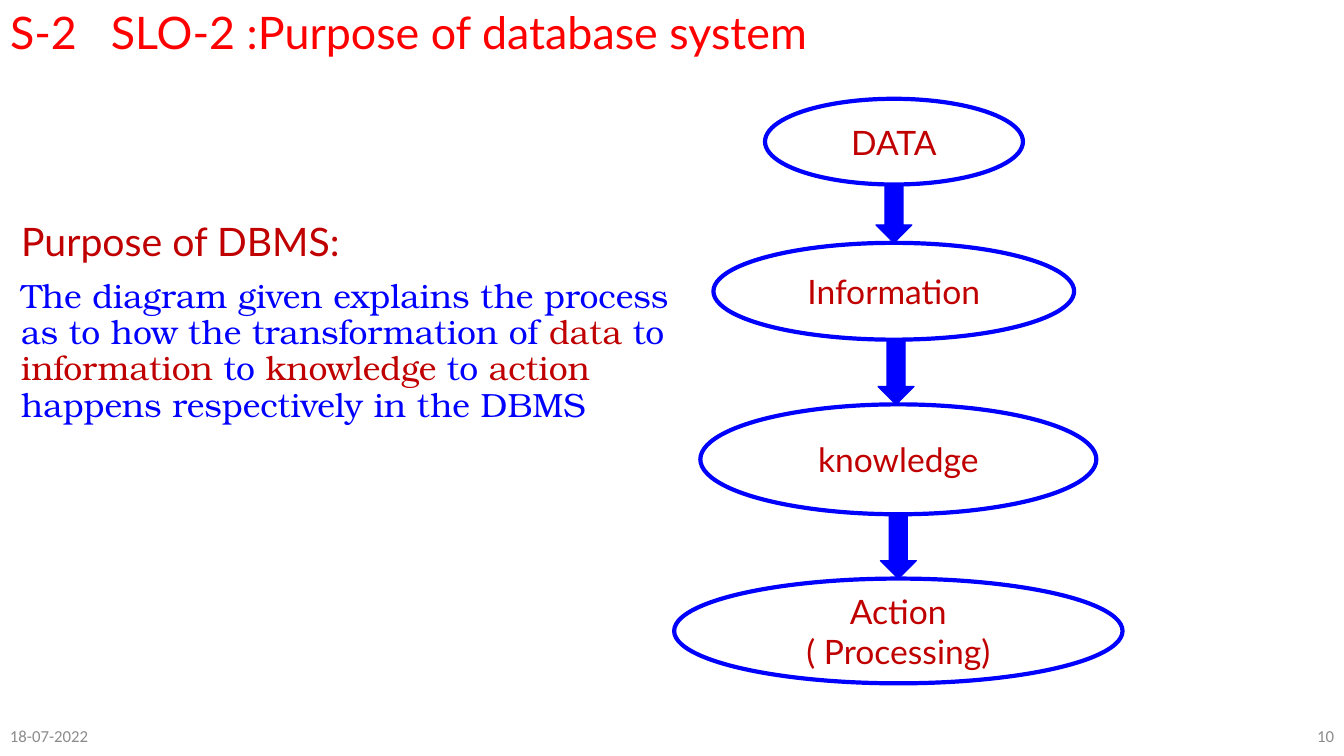
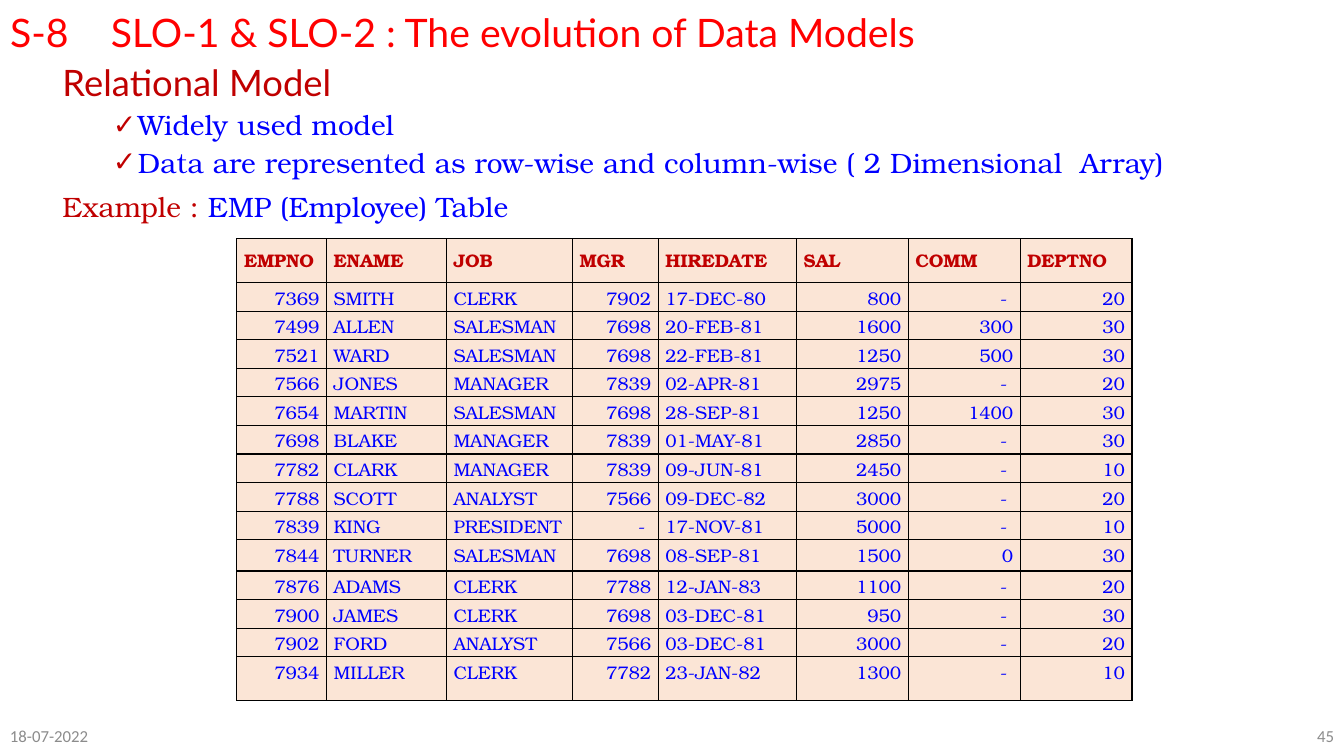
from dataclasses import dataclass

from lxml.etree import SubElement
from pptx import Presentation
from pptx.dml.color import RGBColor
from pptx.enum.shapes import MSO_SHAPE
from pptx.enum.text import MSO_ANCHOR, MSO_AUTO_SIZE, PP_ALIGN
from pptx.oxml.ns import qn
from pptx.util import Cm, Pt


@dataclass(frozen=True)
class Theme:
    red: str = "FF0000"
    maroon: str = "C00000"
    blue: str = "0000FF"
    grey: str = "8C8C8C"
    peach: str = "FBE5D6"
    black: str = "000000"
    heading_face: str = "Lato"
    text_face: str = "TeX Gyre Bonum"
    footer_face: str = "Calibri"
    stage_size: int = 24
    footer_size: int = 12
    table_size: int = 13


THEME = Theme()
SLIDE_WIDTH, SLIDE_HEIGHT = 33.87, 19.05
DATE = "18-07-2022"

# label, left, top, width, height in cm
STAGES = [
    ("DATA", 19.28, 2.49, 6.5, 2.16),
    ("Information", 17.98, 6.12, 9.09, 2.44),
    ("knowledge", 17.65, 10.19, 9.98, 2.77),
    ("Action\n( Processing)", 16.99, 14.58, 11.3, 2.64),
]
ARROW_WIDTH = 0.9

EMPLOYEES = """
EMPNO ENAME JOB MGR HIREDATE SAL COMM DEPTNO
7369 SMITH CLERK 7902 17-DEC-80 800 - 20
7499 ALLEN SALESMAN 7698 20-FEB-81 1600 300 30
7521 WARD SALESMAN 7698 22-FEB-81 1250 500 30
7566 JONES MANAGER 7839 02-APR-81 2975 - 20
7654 MARTIN SALESMAN 7698 28-SEP-81 1250 1400 30
7698 BLAKE MANAGER 7839 01-MAY-81 2850 - 30
7782 CLARK MANAGER 7839 09-JUN-81 2450 - 10
7788 SCOTT ANALYST 7566 09-DEC-82 3000 - 20
7839 KING PRESIDENT - 17-NOV-81 5000 - 10
7844 TURNER SALESMAN 7698 08-SEP-81 1500 0 30
7876 ADAMS CLERK 7788 12-JAN-83 1100 - 20
7900 JAMES CLERK 7698 03-DEC-81 950 - 30
7902 FORD ANALYST 7566 03-DEC-81 3000 - 20
7934 MILLER CLERK 7782 23-JAN-82 1300 - 10
"""
COLUMN_WIDTHS = [2.26, 3.02, 3.18, 2.16, 3.48, 2.82, 2.82, 2.82]
ROW_HEIGHTS = [1.1] + [0.72] * 9 + [0.79] + [0.72] * 3 + [1.1]
LEFT_ALIGNED = {"ENAME", "JOB", "HIREDATE"}


def rgb(colour):
    return RGBColor.from_string(colour)


def set_font(font, face, size, colour=None, bold=False):
    font.name, font.size, font.bold = face, Pt(size), bold
    if colour:
        font.color.rgb = rgb(colour)


def place(shape, left, top, width, height):
    shape.left, shape.top = Cm(left), Cm(top)
    shape.width, shape.height = Cm(width), Cm(height)


def set_title(slide, text, size, top, height):
    title = slide.shapes.title
    place(title, 0, top, 30.48, height)
    frame = title.text_frame
    frame.auto_size = MSO_AUTO_SIZE.NONE
    frame.vertical_anchor = MSO_ANCHOR.TOP
    frame.text = text
    paragraph = frame.paragraphs[0]
    paragraph.alignment = PP_ALIGN.LEFT
    tabs = SubElement(paragraph._p.get_or_add_pPr(), qn("a:tabLst"))
    SubElement(tabs, qn("a:tab"), pos=str(Cm(2.54)), algn="l")
    set_font(paragraph.font, THEME.heading_face, size, THEME.red)


def add_footer(slide, text, left, alignment):
    box = slide.shapes.add_textbox(Cm(left), Cm(18.02), Cm(11.23), Cm(1.02))
    frame = box.text_frame
    frame.word_wrap = True
    frame.vertical_anchor = MSO_ANCHOR.MIDDLE
    frame.text = text
    paragraph = frame.paragraphs[0]
    paragraph.alignment = alignment
    set_font(paragraph.font, THEME.footer_face, THEME.footer_size, THEME.grey)


def add_slide(deck, title, number, title_size, title_top, title_height):
    slide = deck.slides.add_slide(deck.slide_layouts[1])
    set_title(slide, title, title_size, title_top, title_height)
    add_footer(slide, DATE, 0, PP_ALIGN.LEFT)
    add_footer(slide, number, SLIDE_WIDTH - 11.23, PP_ALIGN.RIGHT)
    return slide


def set_bullet(paragraph, checked):
    """Give the paragraph a check mark, or take its bullet away."""
    properties = paragraph._p.get_or_add_pPr()
    properties.set("marL", str(Cm(1.9) if checked else 0))
    properties.set("indent", str(Cm(-0.63) if checked else 0))
    if checked:
        paragraph.level = 1
        colour = SubElement(properties, qn("a:buClr"))
        SubElement(colour, qn("a:srgbClr"), val=THEME.maroon)
        SubElement(properties, qn("a:buChar"), char="✓")
    else:
        SubElement(properties, qn("a:buNone"))


def fill_body(slide, bounds, paragraphs):
    """Each paragraph is (runs, face, size, checked); each run is (text, colour)."""
    body = slide.placeholders[1]
    place(body, *bounds)
    frame = body.text_frame
    frame.auto_size = MSO_AUTO_SIZE.NONE
    for index, (runs, face, size, checked) in enumerate(paragraphs):
        paragraph = frame.add_paragraph() if index else frame.paragraphs[0]
        set_bullet(paragraph, checked)
        paragraph.line_spacing = 0.9
        paragraph.space_before = Pt(0 if not index else 5 if checked else 10)
        shared_colour = runs[0][1] if len(runs) == 1 else None
        set_font(paragraph.font, face, size, shared_colour)
        for text, colour in runs:
            run = paragraph.add_run()
            run.text = text
            if not shared_colour:
                run.font.color.rgb = rgb(colour)


def add_flow_shape(flow, preset, bounds, line_width):
    shape = flow.shapes.add_shape(preset, *map(Cm, bounds))
    shape.shadow.inherit = False
    shape.line.color.rgb = rgb(THEME.blue)
    shape.line.width = Pt(line_width)
    return shape


def add_stage(flow, label, *bounds):
    stage = add_flow_shape(flow, MSO_SHAPE.OVAL, bounds, 3)
    stage.fill.background()
    frame = stage.text_frame
    frame.vertical_anchor = MSO_ANCHOR.MIDDLE
    frame.text = label
    for paragraph in frame.paragraphs:
        paragraph.alignment = PP_ALIGN.CENTER
        set_font(paragraph.font, THEME.heading_face, THEME.stage_size, THEME.maroon)


def add_stage_arrow(flow, upper, lower):
    """Fill the gap between two stages with a down arrow."""
    _, upper_left, upper_top, upper_width, upper_height = upper
    _, lower_left, lower_top, lower_width, _ = lower
    centre = (upper_left + upper_width / 2 + lower_left + lower_width / 2) / 2
    start = upper_top + upper_height
    bounds = (centre - ARROW_WIDTH / 2, start, ARROW_WIDTH, lower_top - start)
    arrow = add_flow_shape(flow, MSO_SHAPE.DOWN_ARROW, bounds, 1)
    arrow.fill.solid()
    arrow.fill.fore_color.rgb = rgb(THEME.blue)


def add_flow(slide):
    flow = slide.shapes.add_group_shape()
    for stage in STAGES:
        add_stage(flow, *stage)
    for upper, lower in zip(STAGES, STAGES[1:]):
        add_stage_arrow(flow, upper, lower)


def set_borders(cell):
    properties = cell._tc.get_or_add_tcPr()
    for position, side in enumerate(("a:lnL", "a:lnR", "a:lnT", "a:lnB")):
        line = SubElement(properties, qn(side), w=str(Pt(1)))
        fill = SubElement(line, qn("a:solidFill"))
        SubElement(fill, qn("a:srgbClr"), val=THEME.black)
        properties.insert(position, line)


def format_cell(cell, text, is_header, alignment):
    cell.margin_left = cell.margin_right = Cm(0.18)
    cell.margin_top = cell.margin_bottom = Cm(0.18 if is_header else 0.08)
    cell.fill.solid()
    cell.fill.fore_color.rgb = rgb(THEME.peach)
    set_borders(cell)
    cell.text = "- " if text == "-" else text
    paragraph = cell.text_frame.paragraphs[0]
    paragraph.alignment = alignment
    colour = THEME.maroon if is_header else THEME.blue
    set_font(paragraph.font, THEME.text_face, THEME.table_size, colour, is_header)


def add_employee_table(slide):
    records = [line.split() for line in EMPLOYEES.strip().splitlines()]
    headers = records[0]
    table = slide.shapes.add_table(
        len(records), len(headers), Cm(5.97), Cm(6.02),
        Cm(sum(COLUMN_WIDTHS)), Cm(sum(ROW_HEIGHTS))).table
    table.first_row = table.horz_banding = False
    for column, width in zip(table.columns, COLUMN_WIDTHS):
        column.width = Cm(width)
    for row, height in zip(table.rows, ROW_HEIGHTS):
        row.height = Cm(height)
    for row_index, record in enumerate(records):
        is_header = row_index == 0
        for column_index, (header, value) in enumerate(zip(headers, record)):
            left = is_header or header in LEFT_ALIGNED
            format_cell(table.cell(row_index, column_index), value, is_header,
                        PP_ALIGN.LEFT if left else PP_ALIGN.RIGHT)


def build_purpose_slide(deck):
    slide = add_slide(deck, "S-2 \tSLO-2 :Purpose of database system", "10", 32, 0, 3)
    explanation = [
        ("The diagram given explains the process as to how the transformation of ",
         THEME.blue),
        ("data", THEME.maroon), (" to ", THEME.blue),
        ("information", THEME.maroon), (" to ", THEME.blue),
        ("knowledge", THEME.maroon), (" to ", THEME.blue),
        ("action", THEME.maroon),
        (" happens respectively in the DBMS", THEME.blue),
    ]
    fill_body(slide, (0.28, 5.49, 17.37, 10.49), [
        ([("Purpose of DBMS:", THEME.maroon)], THEME.heading_face, 28, False),
        (explanation, THEME.text_face, 24, False),
    ])
    add_flow(slide)


def build_relational_slide(deck):
    slide = add_slide(deck, "S-8\tSLO-1 & SLO-2 : The evolution of Data Models",
                      "45", 28, 0.08, 1.45)
    points = ["Widely used model",
              "Data are represented as row-wise and column-wise ( 2 Dimensional  Array)"]
    example = [("Example : ", THEME.maroon), ("EMP (Employee) Table", THEME.blue)]
    fill_body(slide, (1.32, 1.52, 29.46, 6.83), [
        ([("Relational Model", THEME.maroon)], THEME.heading_face, 26, False),
        *[([(point, THEME.blue)], THEME.text_face, 20, True) for point in points],
        (example, THEME.text_face, 20, False),
    ])
    add_employee_table(slide)


def main():
    deck = Presentation()
    deck.slide_width, deck.slide_height = Cm(SLIDE_WIDTH), Cm(SLIDE_HEIGHT)
    build_purpose_slide(deck)
    build_relational_slide(deck)
    deck.save("out.pptx")


if __name__ == "__main__":
    main()
